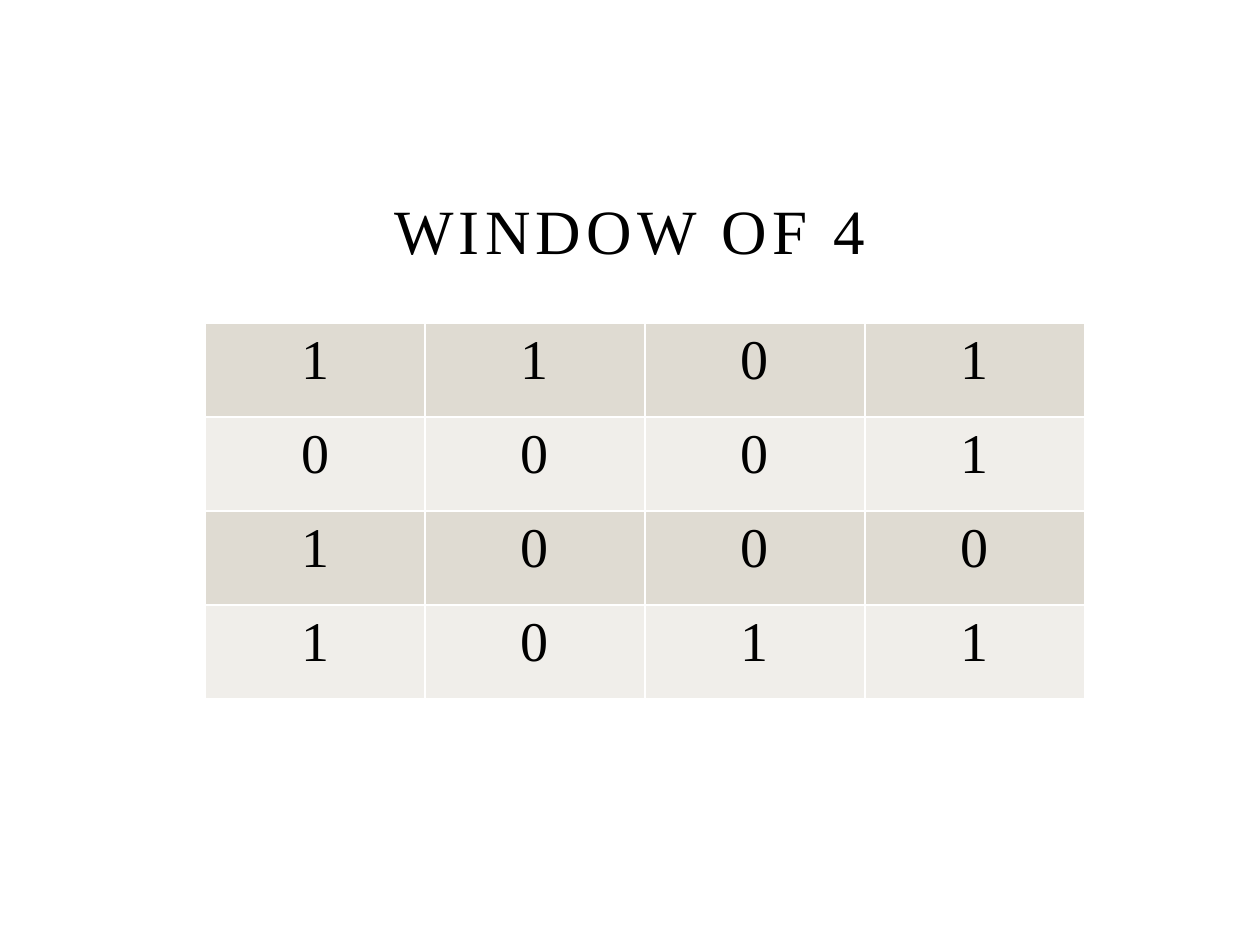
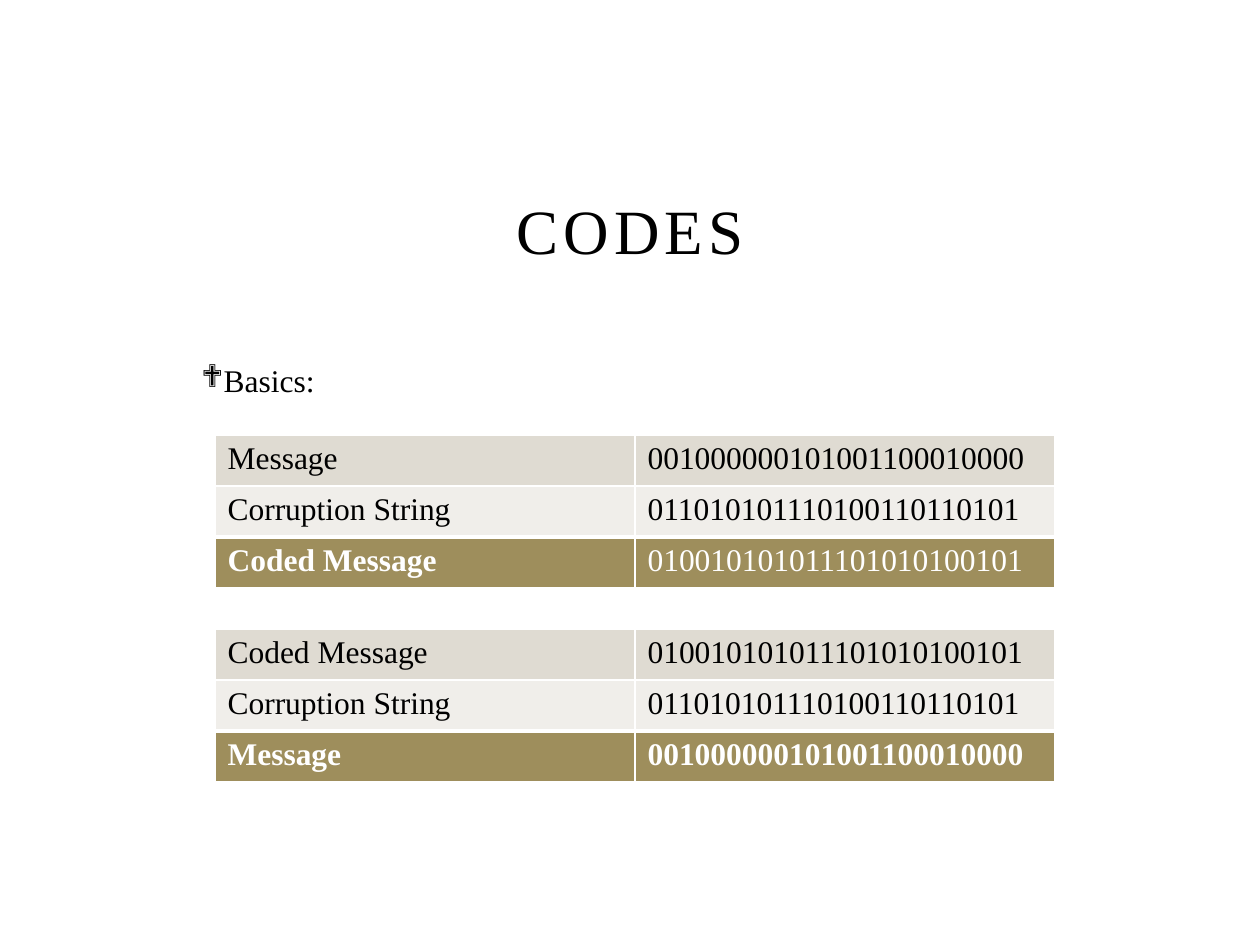
"""Build two slides on coded messages: a window of bits and an encoding table."""
from lxml import etree
from pptx import Presentation
from pptx import util as u
from pptx.dml.color import RGBColor
from pptx.enum import text
from pptx.oxml.ns import qn

SCALE = 914400 / 126
BLACK, WHITE = "000000", "FFFFFF"
SAND, PALE, OLIVE = "DFDBD2", "F0EEEA", "9E8E5C"
LEFT, CENTER = text.PP_ALIGN.LEFT, text.PP_ALIGN.CENTER


def px(*lengths):
    return [round(length * SCALE) for length in lengths]


def write(frame, words, size=18, color=BLACK, bold=False, align=LEFT, spacing=0, bullet=None):
    frame.word_wrap = True
    para = frame.paragraphs[0]
    para.alignment = align
    if bullet:
        para.line_spacing = 1.5
        para.space_before = u.Pt(3.6)
        props = para._p.get_or_add_pPr()
        props.set("marL", "0")
        props.set("indent", str(-u.Inches(0.3)))
        etree.SubElement(props, qn("a:buFont"), typeface="Wingdings")
        etree.SubElement(props, qn("a:buChar"), char=bullet)
    span = para.add_run()
    span.text = words
    span.font.name = "Times New Roman"
    span.font.size = u.Pt(size)
    span.font.bold = bold
    span.font.color.rgb = RGBColor.from_string(color)
    if spacing:
        span._r.get_or_add_rPr().set("spc", str(spacing * 100))


message = "001000000101001100010000"
corruption = "011010101110100110110101"
coded = "010010101011101010100101"

bits = {"rows": ["1101", "0001", "1000", "1011"], "at": (205, 323), "cell": (220, 94),
        "format": {"size": 32, "align": CENTER}, "result": None, "bold_from": 0}
code = {"cell": (420, 51), "format": {"size": 18}, "result": 2}
encode = code | {"at": (215, 435), "bold_columns": 1, "rows": [
    ("Message", message), ("Corruption String", corruption), ("Coded Message", coded)]}
decode = code | {"at": (215, 629), "bold_columns": 2, "rows": [
    ("Coded Message", coded), ("Corruption String", corruption), ("Message", message)]}

slides = [("WINDOW OF 4", None, [bits]), ("CODES", "Basics:", [encode, decode])]

deck = Presentation()
deck.slide_width, deck.slide_height = px(1260, 945)

for title, lead, tables in slides:
    page = deck.slides.add_slide(deck.slide_layouts[6])
    box = page.shapes.add_textbox(*px(189, 179, 882, 94))
    box.text_frame.vertical_anchor = text.MSO_ANCHOR.BOTTOM
    write(box.text_frame, title, size=36, align=CENTER, spacing=3)
    if lead:
        box = page.shapes.add_textbox(*px(189, 336, 882, 420))
        write(box.text_frame, lead, bullet="❖")

    for spec_table in tables:
        rows = spec_table["rows"]
        width, height = spec_table["cell"]
        row_count, column_count = len(rows), len(rows[0])
        table = page.shapes.add_table(
            row_count, column_count,
            *px(*spec_table["at"], width * column_count, height * row_count)).table
        table.first_row = table.horz_banding = False
        for column in table.columns:
            column.width = px(width)[0]
        for r, row in enumerate(rows):
            table.rows[r].height = px(height)[0]
            is_result = r == spec_table["result"]
            fill = OLIVE if is_result else (SAND, PALE)[r % 2]
            for c, words in enumerate(row):
                cell = table.cell(r, c)
                cell.fill.solid()
                cell.fill.fore_color.rgb = RGBColor.from_string(fill)
                write(cell.text_frame, words, color=WHITE if is_result else BLACK,
                      bold=is_result and c < spec_table["bold_columns"],
                      **spec_table["format"])
                props = cell._tc.get_or_add_tcPr()
                for place, side in enumerate(("lnL", "lnR", "lnT", "lnB")):
                    points = 3 if is_result and side == "lnT" else 1
                    line = etree.Element(qn(f"a:{side}"), w=str(u.Pt(points)))
                    solid = etree.SubElement(line, qn("a:solidFill"))
                    etree.SubElement(solid, qn("a:srgbClr"), val=WHITE)
                    props.insert(place, line)

deck.save("out.pptx")
